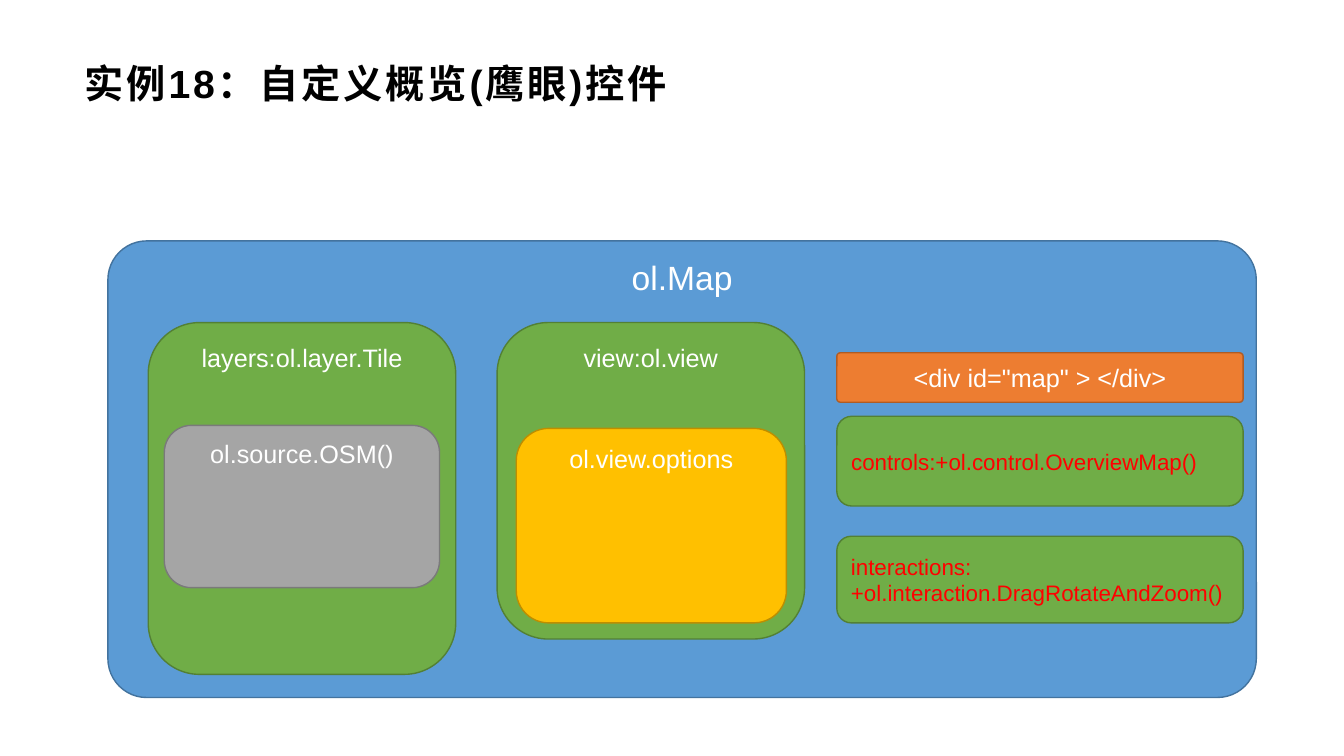
"""Build the slide on the parts of an ol.Map with an overview control."""
from pptx import Presentation
from pptx.dml.color import RGBColor
from pptx.enum.shapes import MSO_SHAPE
from pptx.enum.text import MSO_ANCHOR, MSO_AUTO_SIZE, PP_ALIGN
from pptx.util import Inches, Pt

ROUND = MSO_SHAPE.ROUNDED_RECTANGLE
TOP, MID = MSO_ANCHOR.TOP, MSO_ANCHOR.MIDDLE
LEFT, MIDDLE = PP_ALIGN.LEFT, PP_ALIGN.CENTER
FIXED = MSO_AUTO_SIZE.NONE

TITLE = "实例18：自定义概览(鹰眼)控件"
TITLE_BOX = (0.73, 0.47, 11.87, 0.71)
INSETS = {"margin_left": 0.11, "margin_top": 0.04,
          "margin_right": 0.08, "margin_bottom": 0.04}

STYLES = {
    "map": {"fill": "5B9BD5", "line": "43739E", "size": 24, "adj": 0.085},
    "part": {"fill": "70AD47", "line": "538035"},
    "source": {"fill": "A5A5A5", "line": "7A7A7A"},
    "view": {"fill": "FFC000", "line": "BD8E00"},
    "div": {"fill": "ED7D31", "line": "AF5C24", "adj": 0.069, "anchor": MID},
    "extra": {"fill": "70AD47", "line": "538035", "size": 16,
              "color": "FF0000", "anchor": MID, "align": LEFT},
}
BASE = {"size": 18, "color": "FFFFFF", "adj": 0.16667,
        "anchor": TOP, "align": MIDDLE}

SIDE, WIDE = 8.3, 4.03
ROW, COL = 3.2, 3.05
BOXES = [
    ("ol.Map", "map", (1.07, 2.39, 11.39, 4.53)),
    ("layers:ol.layer.Tile", "part", (1.47, ROW, COL, 3.49)),
    ("ol.source.OSM()", "source", (1.63, 4.22, 2.73, 1.61)),
    ("view:ol.view", "part", (4.93, ROW, COL, 3.14)),
    ("ol.view.options", "view", (5.12, 4.25, 2.68, 1.93)),
    ('<div id="map" > </div>', "div", (SIDE, 3.5, WIDE, 0.49)),
    ("controls:+ol.control.OverviewMap()", "extra", (SIDE, 4.13, WIDE, 0.89)),
    ("interactions:+ol.interaction.DragRotateAndZoom()", "extra",
     (SIDE, 5.32, WIDE, 0.86)),
]


def paint(text):
    return RGBColor.from_string(text)


def write(frame, text, size, color, align, anchor, bold=False):
    frame.word_wrap = True
    frame.auto_size = FIXED
    frame.vertical_anchor = anchor
    para = frame.paragraphs[0]
    para.alignment = align
    run = para.add_run()
    run.text = text
    font = {"name": "Arial", "size": Pt(size), "bold": bold}
    for key, value in font.items():
        setattr(run.font, key, value)
    run.font.color.rgb = paint(color)
    return run


def add_title(slide):
    title = slide.shapes.title
    title.left, title.top, title.width, title.height = map(Inches, TITLE_BOX)
    frame = title.text_frame
    for key, value in INSETS.items():
        setattr(frame, key, Inches(value))
    run = write(frame, TITLE, 28, "000000", LEFT, MID, bold=True)
    run._r.get_or_add_rPr().set("spc", "200")


def add_box(slide, text, kind, place):
    style = {**BASE, **STYLES[kind]}
    box = slide.shapes.add_shape(ROUND, *map(Inches, place))
    box.shadow.inherit = False
    box.adjustments[0] = style["adj"]
    box.fill.solid()
    box.fill.fore_color.rgb = paint(style["fill"])
    box.line.color.rgb = paint(style["line"])
    box.line.width = Pt(1)
    write(box.text_frame, text, style["size"], style["color"],
          style["align"], style["anchor"])


def main():
    deck = Presentation()
    deck.slide_width, deck.slide_height = Inches(13.33), Inches(7.5)
    slide = deck.slides.add_slide(deck.slide_layouts[5])
    add_title(slide)
    for box in BOXES:
        add_box(slide, *box)
    deck.save("out.pptx")


if __name__ == "__main__":
    main()
